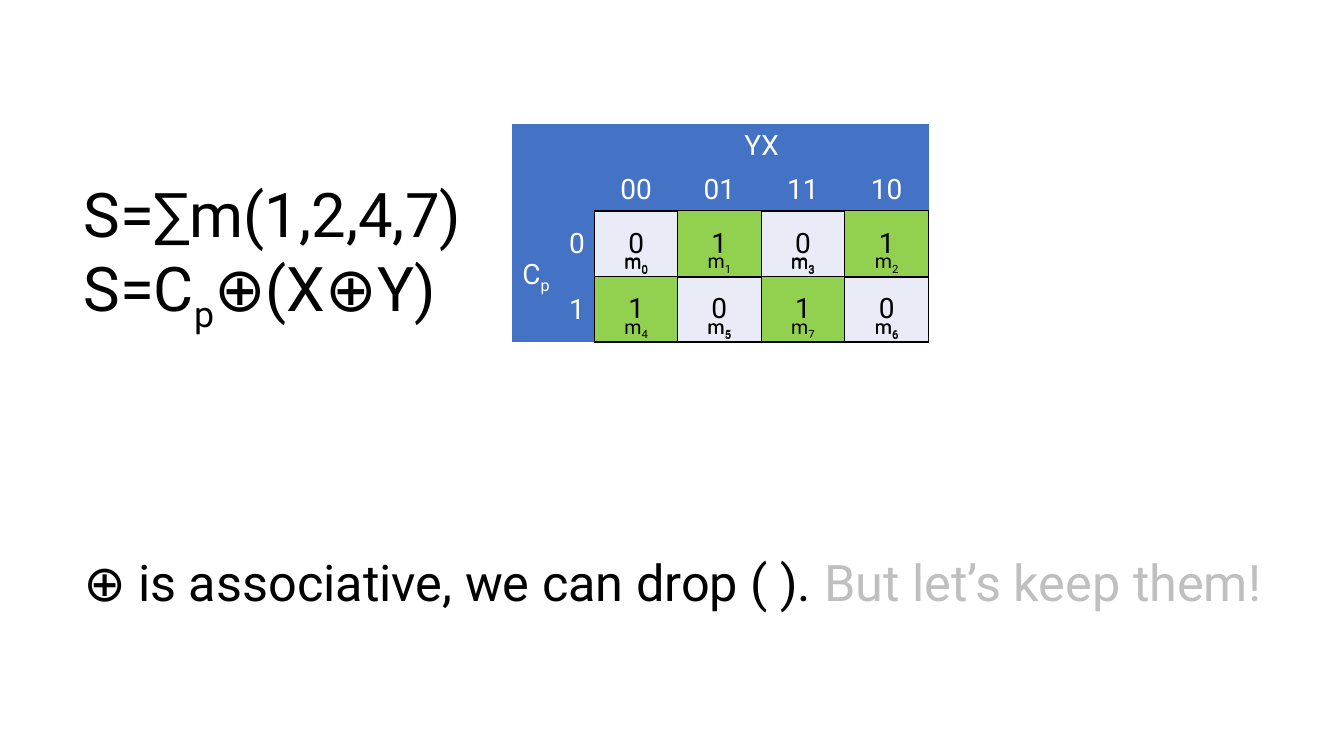
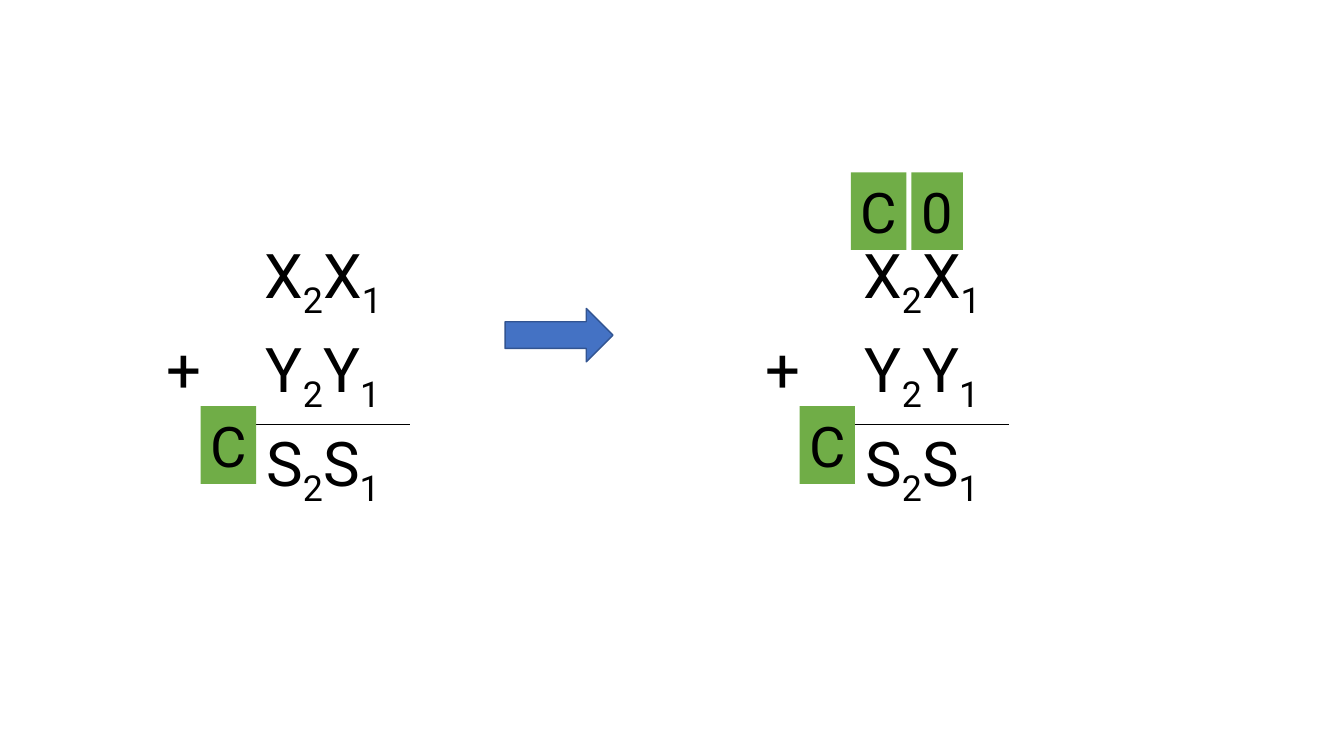
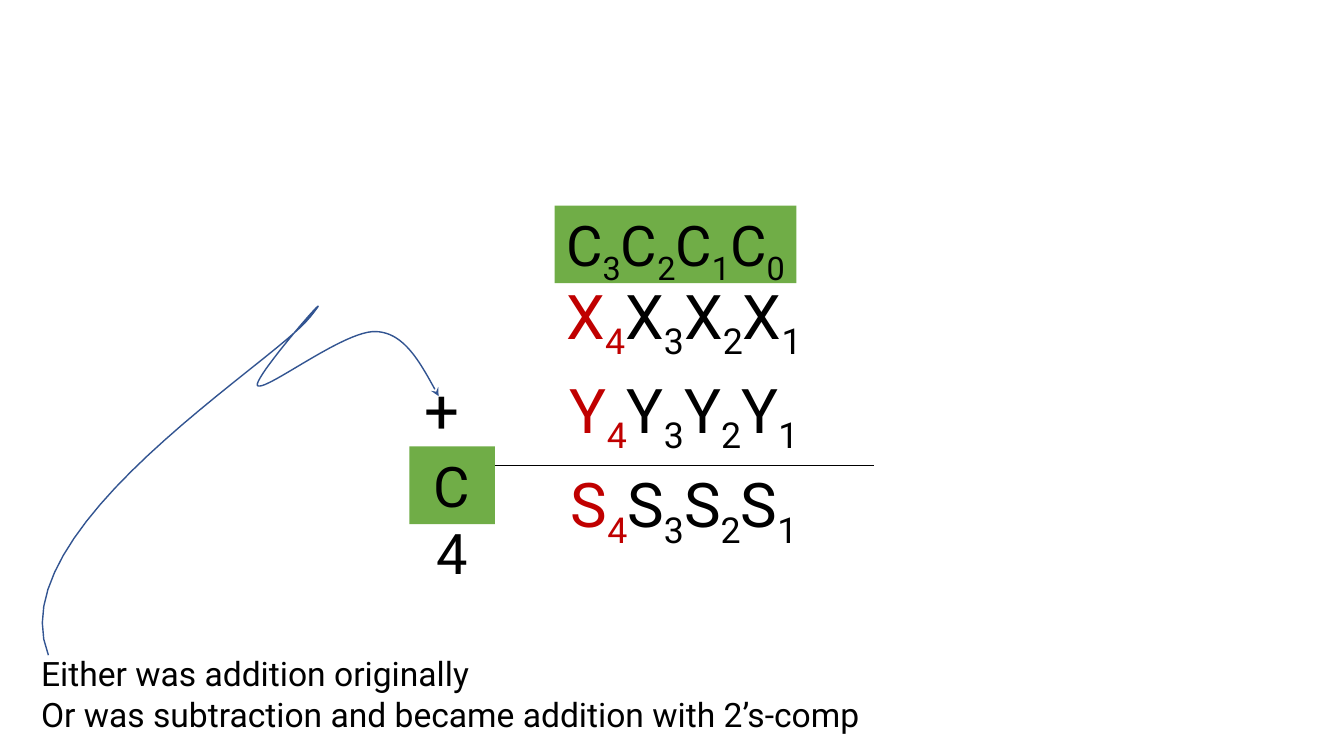
from dataclasses import dataclass
from typing import NamedTuple, Optional, Union

from lxml.etree import SubElement
from pptx import Presentation
from pptx.dml.color import RGBColor
from pptx.enum.shapes import MSO_SHAPE
from pptx.enum.text import MSO_ANCHOR, PP_ALIGN
from pptx.oxml.ns import qn
from pptx.util import Inches, Pt


@dataclass(frozen=True)
class Theme:
    font: str = "Roboto"
    black: str = "000000"
    white: str = "FFFFFF"
    muted: str = "BFBFBF"
    red: str = "C00000"
    blue: str = "4472C4"
    outline: str = "325491"
    carry: str = "70AD47"
    one: str = "92D050"
    pale: str = "E9EBF6"
    big: int = 44
    box: int = 40
    remark: int = 36
    note: int = 24
    map: int = 20
    minterm: int = 14


THEME = Theme()
NO_STYLE = "{2D5ABB26-0587-4C30-8999-92F81FD0307C}"
ALL_SIDES = "LRTB"


class Run(NamedTuple):
    text: str  # the character after "_" is a subscript
    color: str = THEME.black


Runs = tuple[Run, ...]
Point = tuple[float, float]


@dataclass(frozen=True)
class Cell:
    text: Union[str, Runs] = ""
    size: int = THEME.map
    color: str = THEME.black
    fill: Optional[str] = None
    align: PP_ALIGN = PP_ALIGN.CENTER
    anchor: MSO_ANCHOR = MSO_ANCHOR.MIDDLE
    right: float = 0.1
    bottom: float = 0.05
    borders: str = ""


@dataclass(frozen=True)
class Sum:
    left: float
    top: float
    digits_width: float
    row_height: float
    rows: tuple[Runs, Runs, Runs]


@dataclass(frozen=True)
class Box:
    left: float
    top: float
    width: float
    text: str
    wrap: bool = False


# Text
def add_runs(p, runs: Runs, size: int) -> None:
    for run in runs:
        first, *others = run.text.split("_")
        pieces = [(first, False)]
        for part in others:
            pieces += [(part[0], True), (part[1:], False)]
        for text, is_sub in pieces:
            if not text:
                continue
            r = p.add_run()
            r.text = text
            for name, value in {"name": THEME.font, "size": Pt(size)}.items():
                setattr(r.font, name, value)
            r.font.color.rgb = RGBColor.from_string(run.color)
            if is_sub:
                r._r.get_or_add_rPr().set("baseline", "-25000")


def add_text(s, left: float, top: float, width: float, height: float,
             lines: list[Runs], size: int, wrap: bool = True) -> None:
    tf = s.shapes.add_textbox(*map(Inches, (left, top, width, height))).text_frame
    tf.word_wrap = wrap
    for i, runs in enumerate(lines):
        add_runs(tf.add_paragraph() if i else tf.paragraphs[0], runs, size)


# Shapes
def add_box(s, box: Box) -> None:
    sp = s.shapes.add_shape(MSO_SHAPE.RECTANGLE,
                            *map(Inches, (box.left, box.top, box.width, 0.77)))
    sp.shadow.inherit = False
    sp.fill.solid()
    sp.fill.fore_color.rgb = RGBColor.from_string(THEME.carry)
    sp.line.fill.background()
    tf = sp.text_frame
    for name, value in {"word_wrap": box.wrap, "vertical_anchor": MSO_ANCHOR.TOP}.items():
        setattr(tf, name, value)
    p = tf.paragraphs[0]
    p.alignment = PP_ALIGN.CENTER
    add_runs(p, (Run(box.text),), THEME.box)


def set_outline(sp) -> None:
    sp.shadow.inherit = False
    sp.line.color.rgb = RGBColor.from_string(THEME.outline)
    sp.line.width = Pt(1)


def add_curve(s, start: Point, segments: list[tuple[Point, Point, Point]],
              steps: int = 24) -> None:
    """Draw joined cubic curves that end in an arrowhead."""
    points: list[Point] = []
    a = start
    for b, c, d in segments:
        for i in range(1, steps + 1):
            t = i / steps
            u = 1 - t
            weights = (u ** 3, 3 * u * u * t, 3 * u * t * t, t ** 3)
            x, y = (sum(w * v for w, v in zip(weights, axis)) for axis in zip(a, b, c, d))
            points.append((Inches(x), Inches(y)))
        a = d
    builder = s.shapes.build_freeform(Inches(start[0]), Inches(start[1]))
    builder.add_line_segments(points, close=False)
    sp = builder.convert_to_shape()
    sp.fill.background()
    set_outline(sp)
    SubElement(sp.line._get_or_add_ln(), qn("a:tailEnd"), type="stealth")


# Tables
def format_cell(target, cell: Cell) -> None:
    tc_pr = target._tc.get_or_add_tcPr()
    for side in cell.borders:
        ln = SubElement(tc_pr, qn(f"a:ln{side}"), w=str(Pt(1)))
        SubElement(SubElement(ln, qn("a:solidFill")), qn("a:srgbClr"), val=THEME.black)
    if cell.fill:
        target.fill.solid()
        target.fill.fore_color.rgb = RGBColor.from_string(cell.fill)
    else:
        target.fill.background()
    layout = {"vertical_anchor": cell.anchor, "margin_right": Inches(cell.right),
              "margin_bottom": Inches(cell.bottom)}
    for name, value in layout.items():
        setattr(target, name, value)
    p = target.text_frame.paragraphs[0]
    p.alignment = cell.align
    runs = (Run(cell.text, cell.color),) if isinstance(cell.text, str) else cell.text
    add_runs(p, runs, cell.size)


def add_grid(s, left: float, top: float, widths: list[float],
             heights: list[float], cells: list[list[Cell]]):
    frame = s.shapes.add_table(len(heights), len(widths), *map(
        Inches, (left, top, sum(widths), sum(heights))))
    table = frame.table
    table.first_row = table.horz_banding = False
    for style in frame.element.iter(qn("a:tableStyleId")):
        style.text = NO_STYLE
    for column, width in zip(table.columns, widths):
        column.width = Inches(width)
    for row, height in zip(table.rows, heights):
        row.height = Inches(height)
    for y, row_cells in enumerate(cells):
        for x, cell in enumerate(row_cells):
            format_cell(table.cell(y, x), cell)
    return table


def add_sum(s, item: Sum) -> None:
    """Draw a column addition with a rule above the result."""
    cells = []
    for sign, border, runs in zip(("", "+", ""), ("", "B", "T"), item.rows):
        cells.append([
            Cell(sign, THEME.big, anchor=MSO_ANCHOR.TOP),
            Cell(runs, THEME.big, anchor=MSO_ANCHOR.TOP, borders=border),
            Cell(),
        ])
    add_grid(s, item.left, item.top, [1.03, item.digits_width, 0.78],
             [item.row_height] * 3, cells)


# Slide 1: Karnaugh map of the sum bit
def minterm_cells(fill: Optional[str] = None) -> list[list[Cell]]:
    return [[Cell(f"m_{n}", THEME.minterm, fill=fill, anchor=MSO_ANCHOR.BOTTOM,
                  bottom=0, borders=ALL_SIDES) for n in row]
            for row in ((0, 1, 3, 2), (4, 5, 7, 6))]


def header_cell(text: str = "", **layout) -> Cell:
    return Cell(text, color=THEME.white, fill=THEME.blue, **layout)


def build_map_slide(s) -> None:
    add_text(s, 0.73, 1.7, 4.2, 1.7,
             [(Run("S=∑m(1,2,4,7)"),), (Run("S=C_p⊕(X⊕Y)"),)], THEME.big, wrap=False)
    add_text(s, 0.73, 5.42, 11.92, 0.69,
             [(Run("⊕ is associative, we can drop ( ). "),
               Run("But let’s keep them!", THEME.muted))], THEME.remark, wrap=False)

    widths, heights = [0.82, 0.83, 0.83, 0.83], [0.65, 0.65]
    low = MSO_ANCHOR.BOTTOM
    blank = header_cell()
    cells = [
        [blank, blank, header_cell("YX", anchor=low), blank, blank, blank],
        [blank, blank] + [header_cell(code, anchor=low, borders="B")
                          for code in ("00", "01", "11", "10")],
    ]
    sides = (header_cell("C_p", align=PP_ALIGN.LEFT, right=0), blank)
    for digit, side, row in zip("01", sides, minterm_cells(THEME.pale)):
        cells.append([side, header_cell(digit, align=PP_ALIGN.RIGHT, borders="R")] + row)
    table = add_grid(s, 5.08, 1.23, [0.43, 0.39] + widths, [0.43, 0.43] + heights, cells)
    table.cell(0, 2).merge(table.cell(0, 5))
    table.cell(2, 0).merge(table.cell(3, 0))

    values = [[Cell(bit, fill=THEME.one if bit == "1" else None, borders=ALL_SIDES)
               for bit in row] for row in ("0101", "1010")]
    for layer in (values, minterm_cells()):
        add_grid(s, 5.9, 2.09, widths, heights, layer)


# Slide 2: two-digit addition, without and with carries
def build_carry_slide(s) -> None:
    rows = tuple((Run(f"{name}_2{name}_1"),) for name in "XYS")
    for left, row_height in ((1.31, 0.9), (7.25, 0.93)):
        add_sum(s, Sum(left, 2.34, 1.73, row_height, rows))
        add_box(s, Box(left + 0.68, 4.03, 0.55, "C"))
    for box in (Box(9.04, 1.71, 0.51, "0"), Box(8.44, 1.71, 0.55, "C")):
        add_box(s, box)
    arrow = s.shapes.add_shape(MSO_SHAPE.RIGHT_ARROW, *map(Inches, (5.01, 3.06, 1.07, 0.53)))
    arrow.fill.solid()
    arrow.fill.fore_color.rgb = RGBColor.from_string(THEME.blue)
    set_outline(arrow)


# Slide 3: four-digit addition with sign digits
def build_sign_slide(s) -> None:
    rows = tuple((Run(f"{name}_4", THEME.red), Run(f"{name}_3{name}_2{name}_1"))
                 for name in "XYS")
    add_sum(s, Sum(3.87, 2.75, 3.77, 0.9, rows))
    for box in (Box(4.06, 4.43, 0.85, "C4", wrap=True),
                Box(5.5, 2.04, 2.4, "C_3C_2C_1C_0")):
        add_box(s, box)
    add_curve(s, (0.48, 6.5), [
        ((-0.02, 5.25), (2.74, 3.59), (3.08, 3.14)),
        ((3.43, 2.7), (2.45, 3.81), (2.56, 3.83)),
        ((2.67, 3.86), (3.43, 3.27), (3.73, 3.29)),
        ((4.02, 3.3), (4.18, 3.62), (4.35, 3.93)),
    ])
    add_text(s, 0.31, 6.43, 12.26, 0.91,
             [(Run("Either was addition originally"),),
              (Run("Or was subtraction and became addition with 2’s-comp"),)], THEME.note)


def main() -> None:
    prs = Presentation()
    prs.slide_width, prs.slide_height = Inches(13.33), Inches(7.5)
    for build in (build_map_slide, build_carry_slide, build_sign_slide):
        build(prs.slides.add_slide(prs.slide_layouts[6]))
    prs.save("out.pptx")


if __name__ == "__main__":
    main()
